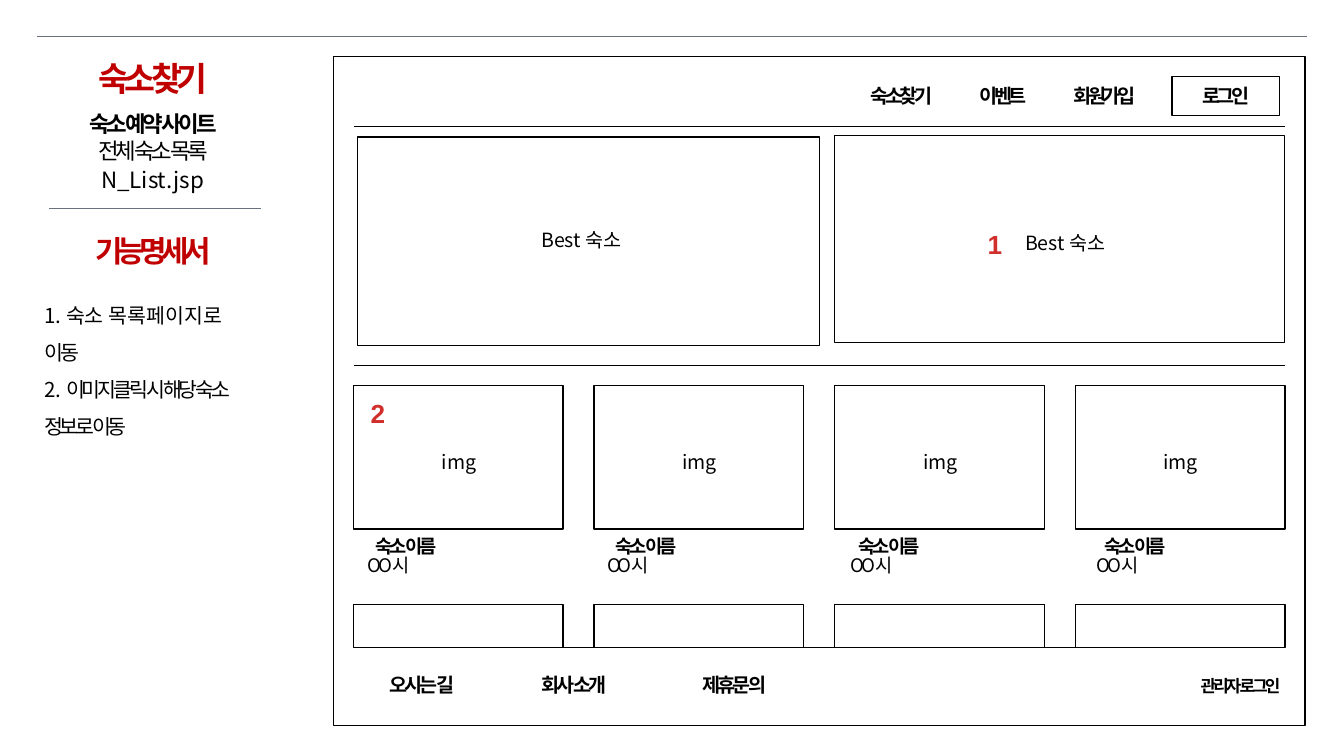
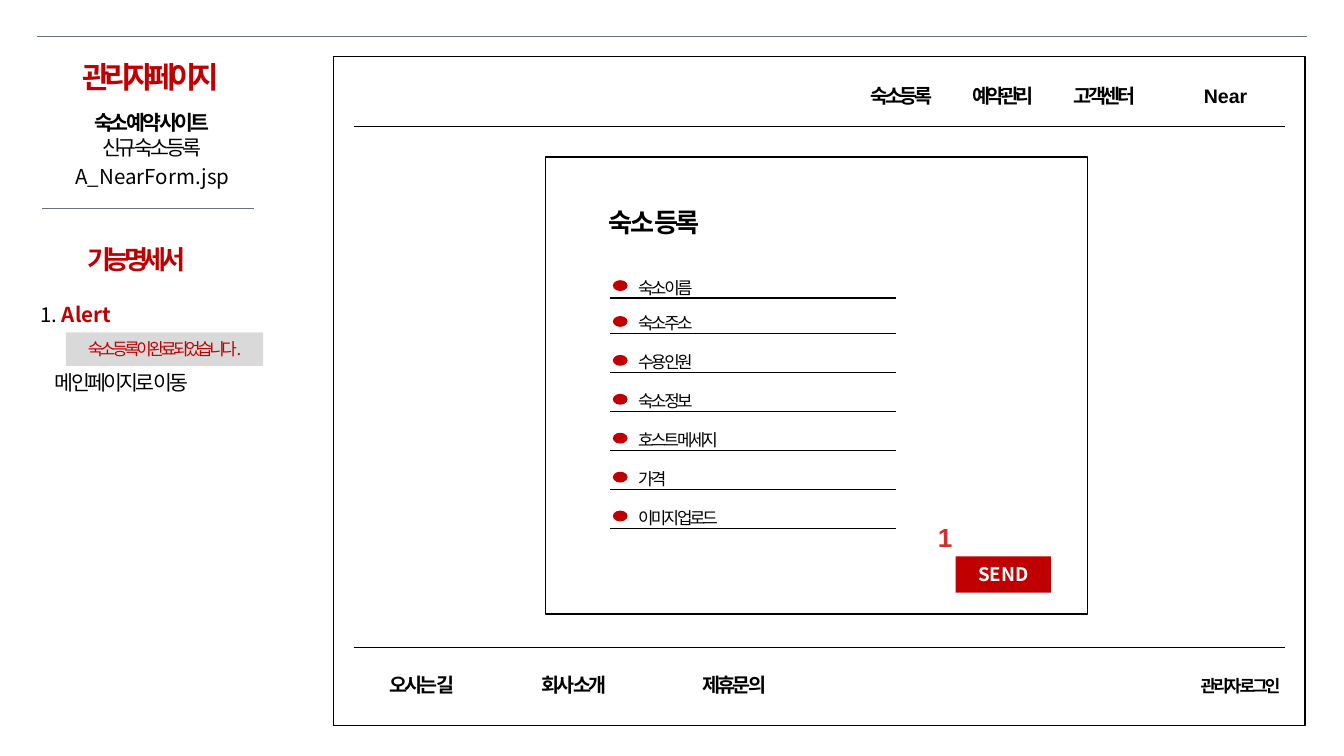
from pptx import Presentation
from pptx.dml.color import RGBColor
from pptx.enum.shapes import MSO_CONNECTOR, MSO_SHAPE
from pptx.enum.text import MSO_ANCHOR, MSO_AUTO_SIZE, PP_ALIGN
from pptx.oxml.ns import qn
from pptx.util import Pt
from lxml.etree import SubElement

COLORS = {"ink": "000000", "red": "C00000", "marker": "D02F2C",
          "rule": "68727E", "gray": "D9D9D9", "white": "FFFFFF"}
KOREAN = "Noto Sans CJK KR"
BASE = {"name": KOREAN, "size": 11, "bold": False, "color": "ink", "spacing": 0}
STYLES = {
    "body": {},
    "heading": {"size": 16, "bold": True, "color": "red", "spacing": -3},
    "site": {"bold": True, "spacing": -1.8},
    "menu": {"name": "Arial", "size": 10.5, "bold": True, "spacing": -1.8},
    "footer": {"name": "Arial", "size": 10.5, "bold": True, "spacing": -1.5},
    "label": {"size": 10.5},
    "name": {"size": 10, "bold": True, "spacing": -1.5},
    "city": {"size": 10, "spacing": -1.5},
    "field": {"size": 9, "spacing": -1.5},
    "alert": {"size": 9, "color": "red", "spacing": -1.8},
    "button": {"size": 10, "bold": True, "color": "white"},
    "marker": {"name": "Arial", "size": 14, "bold": True, "color": "marker"},
}
INNER_LEFT, INNER_RIGHT = 189.4, 688.3
MENU_TOP, MENU_WIDTH, MENU_HEIGHT = 41, 57.6, 20.9
LAST_MENU = (627.8, MENU_TOP, MENU_WIDTH, MENU_HEIGHT)


def color(name):
    return RGBColor.from_string(COLORS[name])


class Wireframe:
    def __init__(self):
        self.deck = Presentation()
        self.deck.slide_width, self.deck.slide_height = Pt(720), Pt(405)
        self.page = None

    def format_span(self, span, style):
        values = {**BASE, **style}
        span.font.color.rgb = color(values["color"])
        for key, value in {"name": values["name"], "size": Pt(values["size"]),
                           "bold": values["bold"]}.items():
            setattr(span.font, key, value)
        properties = span.font._element
        properties.set("spc", str(round(values["spacing"] * 100)))
        SubElement(properties, qn("a:ea")).set("typeface", KOREAN)

    def fill_text(self, shape, content, style, align=PP_ALIGN.CENTER,
                  anchor=MSO_ANCHOR.MIDDLE, wrap=True, **para_format):
        """Fill a shape from a string or a list of paragraphs of (text, changes)."""
        if isinstance(content, str):
            content = [[(content, {})]]
        frame = shape.text_frame
        for key, value in {"word_wrap": wrap, "vertical_anchor": anchor,
                           "auto_size": MSO_AUTO_SIZE.SHAPE_TO_FIT_TEXT}.items():
            setattr(frame, key, value)
        for index, spans in enumerate(content):
            para = frame.add_paragraph() if index else frame.paragraphs[0]
            for key, value in {"alignment": align, **para_format}.items():
                setattr(para, key, value)
            for text, changes in spans:
                span = para.add_run()
                span.text = text
                self.format_span(span, {**STYLES[style], **changes})
        return frame

    def text(self, box, content, style, **options):
        shape = self.page.shapes.add_textbox(*map(Pt, box))
        return self.fill_text(shape, content, style, **options)

    def shape(self, box, kind=MSO_SHAPE.RECTANGLE, fill=None):
        """Add a solid shape, or a black outline when there is no fill."""
        shape = self.page.shapes.add_shape(kind, *map(Pt, box))
        shape.shadow.inherit = False
        if fill:
            shape.fill.solid()
            shape.fill.fore_color.rgb = color(fill)
            shape.line.fill.background()
        else:
            shape.fill.background()
            shape.line.color.rgb = color("ink")
            shape.line.width = Pt(0.75)
        return shape

    def rule(self, left, right, top, tint="ink", width=0.75):
        line = self.page.shapes.add_connector(
            MSO_CONNECTOR.STRAIGHT, Pt(left), Pt(top), Pt(right), Pt(top))
        line.line.color.rgb = color(tint)
        line.line.width = Pt(width)
        SubElement(line._element.spPr, qn("a:effectLst"))

    def heading(self, box, title, size):
        self.text(box, [[(title, {"size": size})]], "heading",
                  anchor=MSO_ANCHOR.TOP, line_spacing=0.9)

    def marker(self, left, top, number):
        self.text((left, top, 23, 24.5), number, "marker", align=PP_ALIGN.LEFT,
                  anchor=MSO_ANCHOR.TOP, wrap=False)

    def site_summary(self, box, screen, file_box, file_name, size):
        self.text(box, [[("숙소 예약 사이트", {"size": size})],
                        [(screen, {"size": size, "bold": False})]], "site")
        self.text(file_box, [[(file_name, {"size": size})]], "body")

    def start_page(self, menu, divider_left):
        """Add a page with the top rule, site frame, menu and footer."""
        self.page = self.deck.slides.add_slide(self.deck.slide_layouts[6])
        self.rule(20, 700, 19.6, "rule", 0.25)
        self.rule(divider_left, divider_left + 113.4, 111.7, "rule", 0.25)
        self.shape((178.6, 30.2, 520.6, 358.6))
        for top in (67.7, 347):
            self.rule(INNER_LEFT, INNER_RIGHT, top)
        for index, entry in enumerate(menu):
            self.text((454.2 + 54.4 * index, MENU_TOP, MENU_WIDTH, MENU_HEIGHT),
                      entry, "menu")
        for left, width, entry in ((191.5, 69.1, "오시는 길"),
                                   (272.9, 69.1, "회사 소개"),
                                   (354.2, 78.5, "제휴문의")):
            self.text((left, 356.4, width, 20.9), entry, "footer")
        self.text((630, 358.6, 69.1, 18), [[("관리자 로그인", {"size": 9})]], "footer")


def add_list_page(art):
    art.start_page(("숙소찾기", "이벤트", "회원가입"), 26.5)
    art.fill_text(art.shape(LAST_MENU), "로그인", "menu")

    art.heading((31, 30.2, 102.2, 26.6), "숙소 찾기", 18)
    art.site_summary((26.6, 55.4, 110.9, 36), "전체 숙소 목록",
                     (28.1, 85.2, 107.3, 21.6), "N_List.jsp", 12)
    art.heading((31, 123.1, 102.2, 24.5), "기능명세서", 16)
    art.text((16.6, 151.9, 130.3, 87.1),
             [[("1. 숙소 목록페이지로 ", {}), ("이동", {"spacing": -1.5})],
              [("2. ", {}), ("이미지 클릭 시 해당 숙소 정보로 이동", {"spacing": -1.8})]],
             "body", align=PP_ALIGN.LEFT, line_spacing=1.5)

    art.shape((191.5, 73.4, 247.7, 111.6))
    art.shape((447.1, 72.7, 241.2, 110.9))
    art.text((281.5, 118.1, 59.8, 20.2), "Best 숙소", "label")
    art.text((511.2, 119.5, 118.8, 20.9), "Best 숙소", "label")
    art.marker(522, 118.8, "1")
    art.rule(INNER_LEFT, INNER_RIGHT, 195.8)

    for index, name_left in enumerate((177.6, 306, 436.3, 568.1)):
        left = INNER_LEFT + 128.9 * index
        art.shape((left, 206.5, 112.3, 77))
        art.shape((left, 324, 112.3, 23))
        art.text((left + 26.6, 236.9, 59.8, 20.9), "img", "label")
        art.text((name_left, 283, 79.9, 19.4), "숙소 이름", "name")
        art.text((name_left + 7, 293, 46.8, 19.4), "OO시", "city")
    art.marker(191.5, 209.5, "2")


def add_form_page(art):
    art.start_page(("숙소등록", "예약관리", "고객센터"), 22.5)
    art.text(LAST_MENU, [[("Near", {"spacing": 0})]], "menu")

    art.heading((26.6, 30.2, 108.7, 24.5), "관리자페이지", 16)
    art.site_summary((28.8, 55.4, 105.1, 33.8), "신규 숙소 등록",
                     (29.5, 84.2, 104.4, 20.9), "A_NearForm.jsp", 11)
    art.heading((22.3, 128.9, 101.5, 22.3), "기능명세서", 14)
    notes = art.text((14.4, 158.4, 156.2, 62),
                     [[("1. ", {}), ("Alert", {"color": "red", "bold": True})],
                      [("메인페이지로 이동", {"spacing": -1.5})]],
                     "body", align=PP_ALIGN.LEFT, anchor=MSO_ANCHOR.TOP)
    after_alert = notes.paragraphs[1]
    after_alert.space_before = Pt(23)
    after_alert._p.get_or_add_pPr().set("marL", str(Pt(8)))
    art.fill_text(art.shape((35.3, 178.1, 105.8, 18), fill="gray"),
                  "숙소 등록이 완료되었습니다.", "alert")

    art.shape((292.3, 84.2, 290.2, 244.8))
    art.text((314.6, 106.6, 72, 24.5),
             [[("숙소 등록", {"size": 14, "bold": True})]], "field")
    fields = ("숙소 이름", "숙소 주소", "수용 인원", "숙소 정보",
              "호스트 메세지", "가격", "이미지 업로드")
    for index, field in enumerate(fields):
        top = 178.8 + 20.85 * (index - 1) if index else 159.6
        art.rule(326.9, 480.2, top)
        art.text((334.8, top - 14.6, 62, 18), field, "field", align=PP_ALIGN.LEFT,
                 anchor=MSO_ANCHOR.TOP, wrap=False)
        art.shape((328.3, top - 9.5, 7.9, 5.8), MSO_SHAPE.OVAL, "red")
    art.marker(495.4, 275.8, "1")
    art.fill_text(art.shape((511.9, 298.1, 51.1, 19.4), fill="red"), "SEND", "button")


def main():
    art = Wireframe()
    add_list_page(art)
    add_form_page(art)
    art.deck.save("out.pptx")


if __name__ == "__main__":
    main()
